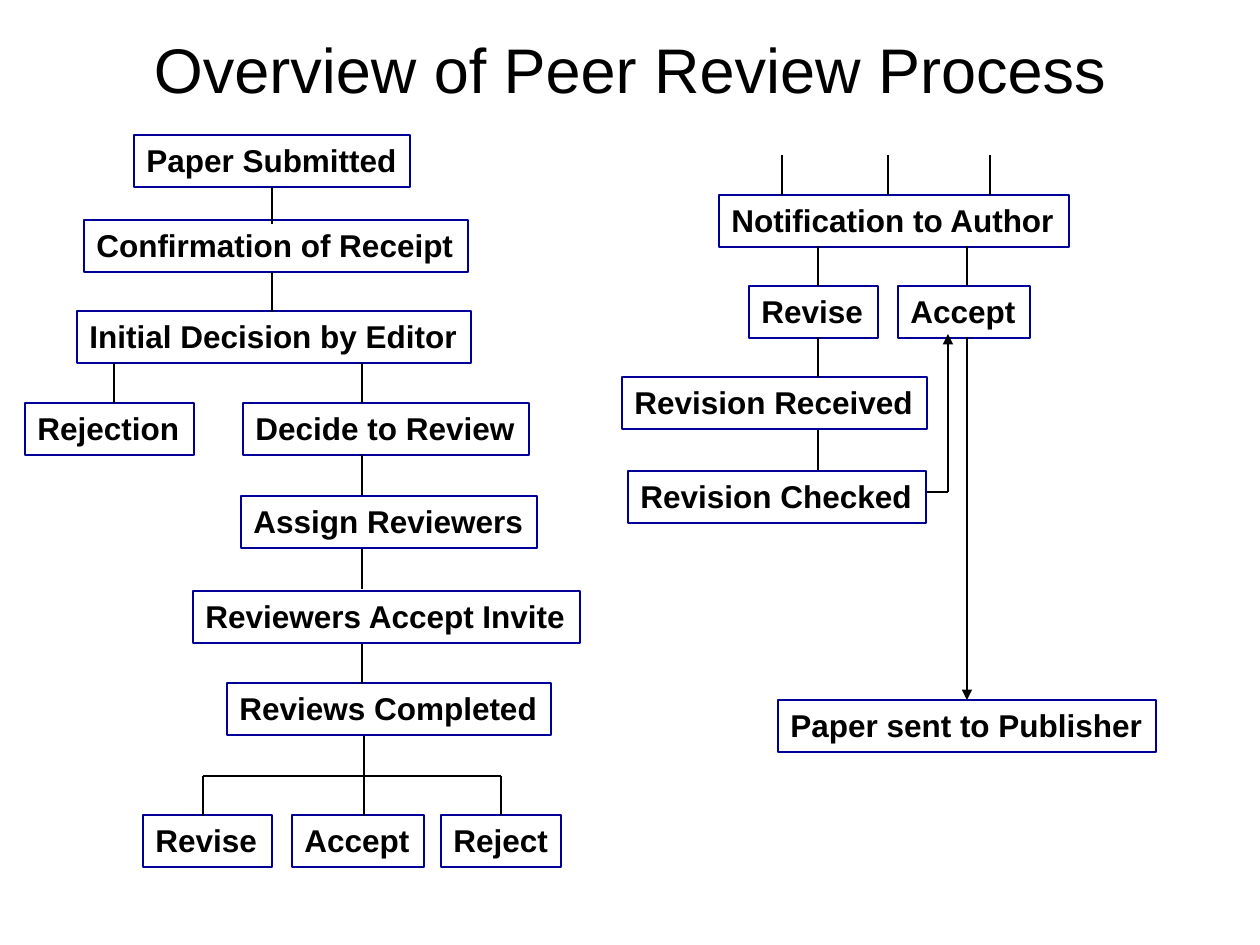
from lxml import etree
from pptx import Presentation
from pptx import util as u
from pptx.dml.color import RGBColor
from pptx.enum import shapes, text
from pptx.oxml.ns import qn

PX = 914400 / 126
BLACK = RGBColor(0, 0, 0)
NAVY = RGBColor(0, 0, 0x99)
HIGH = 52


def emu(*vals):
    """Turn px lengths into EMU."""
    return [u.Emu(round(v * PX)) for v in vals]


def link(x1, y1, x2, y2, arrow=False):
    """Draw a thin black line, with an arrowhead at its end if asked."""
    line = slide.shapes.add_connector(
        shapes.MSO_CONNECTOR.STRAIGHT, *emu(x1, y1, x2, y2))
    line.line.color.rgb = BLACK
    line.line.width = u.Pt(0.75)
    if arrow:
        etree.SubElement(line.line._get_or_add_ln(), qn("a:tailEnd"), type="triangle")
    etree.SubElement(line._element.spPr, qn("a:effectLst"))
    return line


deck = Presentation()
deck.slide_width, deck.slide_height = emu(1260, 945)
slide = deck.slides.add_slide(deck.slide_layouts[6])

# Title
title = slide.shapes.add_textbox(*emu(105, 21, 1050, 95)).text_frame
title.word_wrap = True
title.vertical_anchor = text.MSO_ANCHOR.MIDDLE
head = title.paragraphs[0]
head.text = "Overview of Peer Review Process"
head.alignment = text.PP_ALIGN.CENTER
head.font.name = "Arial"
head.font.size = u.Pt(36)
head.font.color.rgb = BLACK

# Steps: label, left, top, width
steps = [
    ("Paper Submitted", 134, 135, 276),
    ("Confirmation of Receipt", 84, 220, 384),
    ("Initial Decision by Editor", 77, 311, 394),
    ("Rejection", 25, 403, 169),
    ("Decide to Review", 243, 403, 286),
    ("Assign Reviewers", 241, 496, 296),
    ("Reviewers Accept Invite", 193, 591, 387),
    ("Reviews Completed", 227, 683, 324),
    ("Revise", 143, 815, 129),
    ("Accept", 292, 815, 132),
    ("Reject", 441, 815, 120),
    ("Notification to Author", 719, 195, 350),
    ("Revise", 749, 286, 129),
    ("Accept", 898, 286, 132),
    ("Revision Received", 622, 377, 305),
    ("Revision Checked", 628, 471, 298),
    ("Paper sent to Publisher", 778, 700, 378),
]
boxes = {}
for label, left, top, wide in steps:
    box = slide.shapes.add_shape(
        shapes.MSO_SHAPE.RECTANGLE, *emu(left, top, wide, HIGH))
    box.shadow.inherit = False
    box.fill.background()
    box.line.color.rgb = NAVY
    box.line.width = u.Pt(0.75)
    frame = box.text_frame
    frame.word_wrap = False
    frame.auto_size = text.MSO_AUTO_SIZE.SHAPE_TO_FIT_TEXT
    frame.vertical_anchor = text.MSO_ANCHOR.TOP
    para = frame.paragraphs[0]
    para.text = label
    para.alignment = text.PP_ALIGN.LEFT
    para.font.name = "Arial"
    para.font.size = u.Pt(18)
    para.font.bold = True
    para.font.color.rgb = BLACK
    boxes[label] = box

# Short vertical links of equal length: x, top
drops = [
    (272, 272), (114, 363), (362, 363), (362, 455), (362, 549), (362, 644),
    (364, 736), (203, 776), (364, 776),
    (782, 155), (888, 155), (990, 155),
    (818, 246), (967, 246), (818, 337), (818, 430),
]
for x, y in drops:
    link(x, y, x, y + 40)

link(272, 187, 272, 224).begin_connect(boxes["Paper Submitted"], 2)
link(501, 776, 501, 815).end_connect(boxes["Reject"], 0)
link(203, 776, 501, 776)

# From acceptance to the publisher, and from the checked revision to acceptance
link(967, 337, 967, 700, True).end_connect(boxes["Paper sent to Publisher"], 0)
link(927, 492, 948, 492)
link(948, 492, 948, 334, True)

deck.save("out.pptx")
